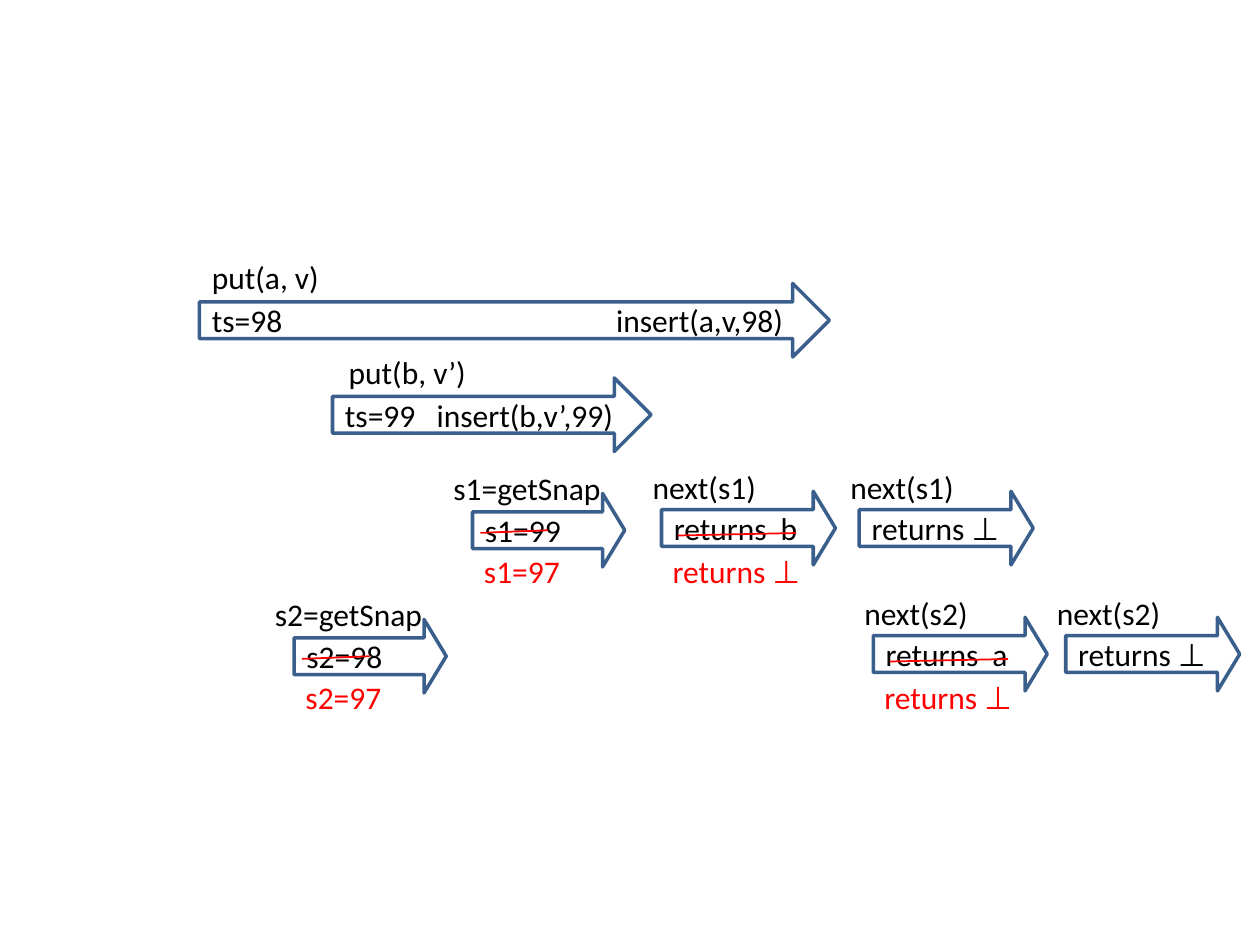
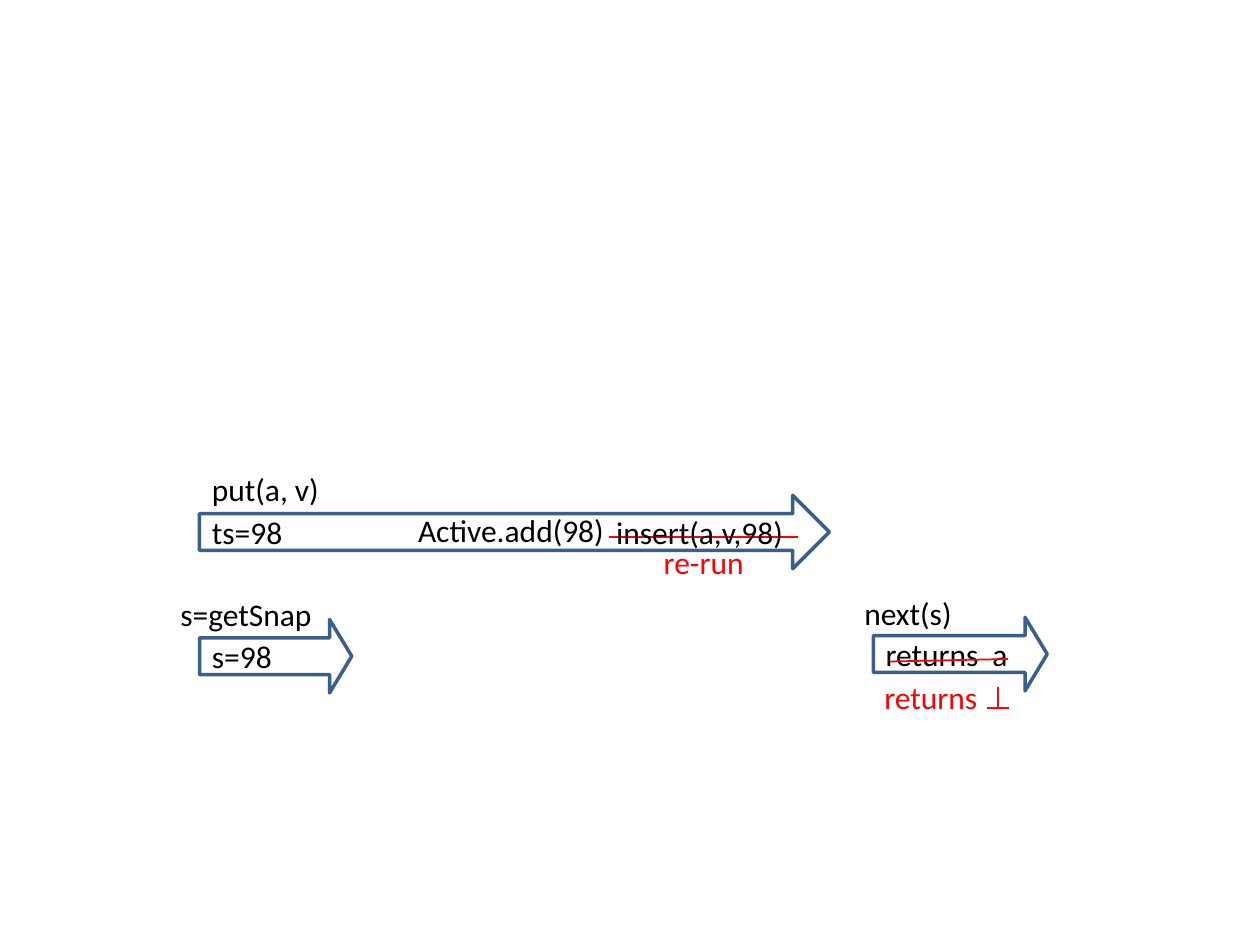
from lxml.etree import SubElement
from pptx import Presentation
from pptx.dml.color import RGBColor
from pptx.enum.shapes import MSO_CONNECTOR, MSO_SHAPE
from pptx.enum.text import MSO_ANCHOR, MSO_AUTO_SIZE, PP_ALIGN
from pptx.oxml.ns import qn
from pptx.util import Pt

COLOURS = {"outline": "3A5F8C", "text": "000000", "correction": "FF0000"}
FONT = "Calibri"
TEXT_SIZE = 18
ARROW_HEIGHT = 42
LABEL_HEIGHT = 29
SHORT_HEAD = 0.302
NEXT_RISE = 1.2
RESULT_TAB = 61


def colour(name):
    """Return the named colour."""
    return RGBColor.from_string(COLOURS[name])


def write(shape, text, colour_name="text", tab=None):
    """Write one left-aligned line, with an optional tab stop in points."""
    paragraph = shape.text_frame.paragraphs[0]
    paragraph.alignment = PP_ALIGN.LEFT
    if tab:
        properties = paragraph._p.get_or_add_pPr()
        stops = SubElement(properties, qn("a:tabLst"))
        SubElement(stops, qn("a:tab"), pos=str(int(Pt(tab))), algn="l")
    run = paragraph.add_run()
    run.text = text
    run.font.name = FONT
    run.font.size = Pt(TEXT_SIZE)
    run.font.color.rgb = colour(colour_name)


def add_label(slide, left, top, width, text, colour_name="text"):
    """Add a free-standing line of text."""
    shape = slide.shapes.add_textbox(
        Pt(left), Pt(top), Pt(width), Pt(LABEL_HEIGHT))
    shape.text_frame.word_wrap = False
    shape.text_frame.auto_size = MSO_AUTO_SIZE.SHAPE_TO_FIT_TEXT
    write(shape, text, colour_name)


def add_arrow(slide, left, top, width, text, head=0.5, tab=None):
    """Add an outlined block arrow that holds the steps of an operation."""
    shape = slide.shapes.add_shape(
        MSO_SHAPE.RIGHT_ARROW, Pt(left), Pt(top), Pt(width), Pt(ARROW_HEIGHT))
    shape.adjustments[0] = 0.5
    shape.adjustments[1] = head
    shape.shadow.inherit = False
    shape.fill.background()
    shape.line.color.rgb = colour("outline")
    shape.line.width = Pt(2)
    shape.text_frame.word_wrap = True
    shape.text_frame.vertical_anchor = MSO_ANCHOR.MIDDLE
    write(shape, text, tab=tab)


def add_strike(slide, start_x, start_y, end_x, end_y):
    """Add a thin line that crosses out a step."""
    line = slide.shapes.add_connector(
        MSO_CONNECTOR.STRAIGHT, Pt(start_x), Pt(start_y), Pt(end_x), Pt(end_y))
    line.line.color.rgb = colour("correction")
    line.line.width = Pt(1)
    SubElement(line._element.spPr, qn("a:effectLst"))


def add_put(slide, left, top, width, label, label_box, steps, tab):
    """Add a put operation; label_box is the label's indent and width."""
    indent, label_width = label_box
    add_arrow(slide, left, top, width, steps, tab=tab)
    add_label(slide, left + indent, top - 18, label_width, label)


def add_snapshot(slide, left, top, name, label_width, value, corrected=None):
    """Add a getSnap operation, with its value crossed out if corrected."""
    add_arrow(slide, left, top, 87, f"{name}={value}", SHORT_HEAD)
    add_label(slide, left - 18, top - 17.3, label_width, f"{name}=getSnap")
    if corrected:
        add_strike(slide, left + 43.2, top + 21, left + 4.5, top + 22.5)
        add_label(slide, left - 0.5, top + 29.8, 58,
                  f"{name}={corrected}", "correction")


def add_next(slide, left, row_top, name, label_width, key=None):
    """Add a next operation; a returned key is crossed out and corrected."""
    top = row_top - NEXT_RISE
    result = f"returns\t{key}" if key else "returns ⊥"
    add_arrow(slide, left, top, 99.4, result, SHORT_HEAD,
              RESULT_TAB if key else None)
    add_label(slide, left - 12.2, top - 16.8, label_width, f"next({name})")
    if key:
        add_strike(slide, left + 77, top + 23.8, left + 9.4, top + 25.2)
        add_label(slide, left - 0.7, top + 31, 88.6, "returns ⊥ ", "correction")


def build_two_scans(slide):
    """Build the timeline of two puts and two scans."""
    put_a(slide, 162)
    add_put(slide, 190, 216, 182, "put(b, v’)", (2.2, 81.4),
            "ts=99\tinsert(b,v’,99)", 52.4)
    first_row, second_row = 282, 354
    add_snapshot(slide, 270, first_row, "s1", 100, 99, 97)
    add_next(slide, 378, first_row, "s1", 74, "b")
    add_next(slide, 491, first_row, "s1", 74)
    add_snapshot(slide, 168, second_row, "s2", 100, 98, 97)
    add_next(slide, 499, second_row, "s2", 74, "a")
    add_next(slide, 609, second_row, "s2", 74)


def build_rerun(slide):
    """Build the timeline of a put that has to run again."""
    row, put_top, strike_y = 354, 283, 306.7
    add_snapshot(slide, 114, row, "s", 91, 98)
    add_next(slide, 499, row, "s", 65.5, "a")
    add_label(slide, 231.8, 288.7, 121.7, "Active.add(98)")
    add_strike(slide, 455.8, strike_y, 347.8, strike_y)
    add_label(slide, 372.2, strike_y, 61.2, "re-run ", "correction")
    put_a(slide, put_top)


def put_a(slide, top):
    """Add the long put of key a, which both timelines share."""
    add_put(slide, 114, top, 360, "put(a, v)", (0, 76.3),
            "ts=98\tinsert(a,v,98)", 231)


def main():
    """Build and save the presentation."""
    presentation = Presentation()
    presentation.slide_width = Pt(720)
    presentation.slide_height = Pt(540)
    blank_layout = presentation.slide_layouts[6]
    for build in (build_two_scans, build_rerun):
        build(presentation.slides.add_slide(blank_layout))
    presentation.save("out.pptx")


main()
